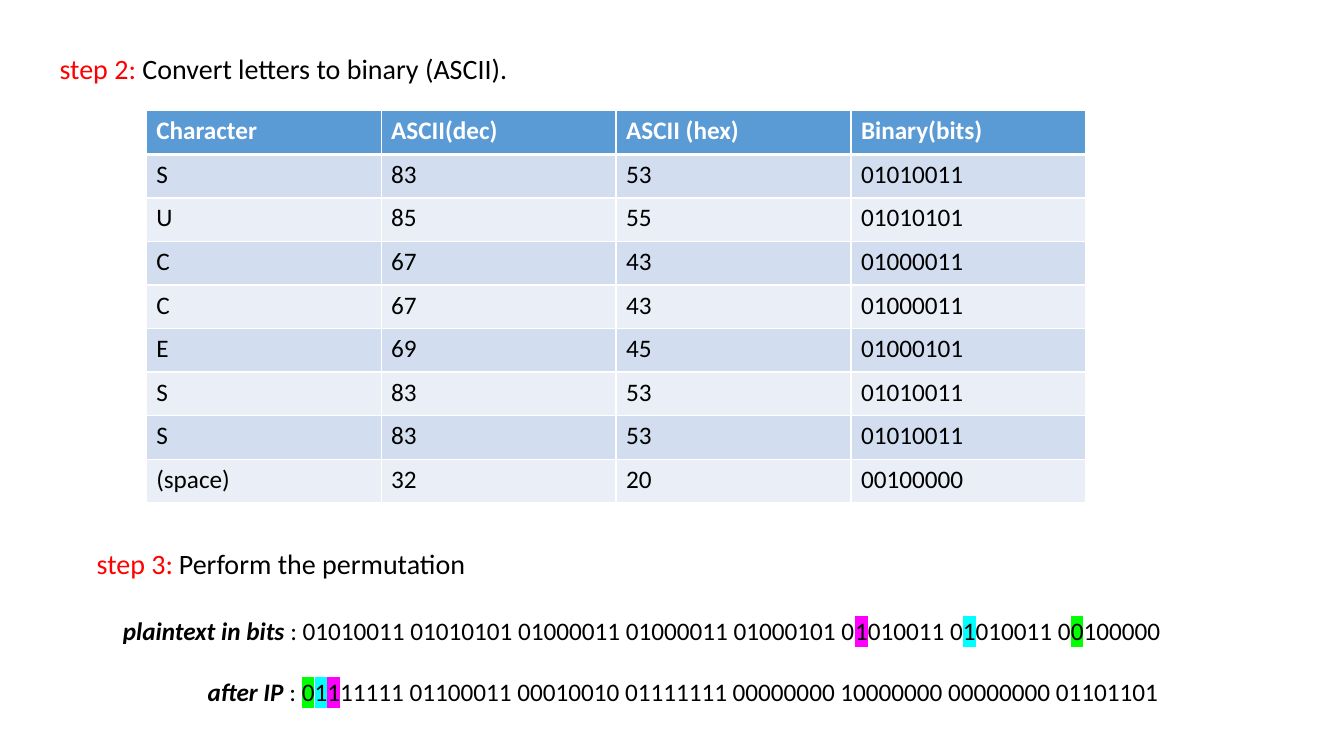
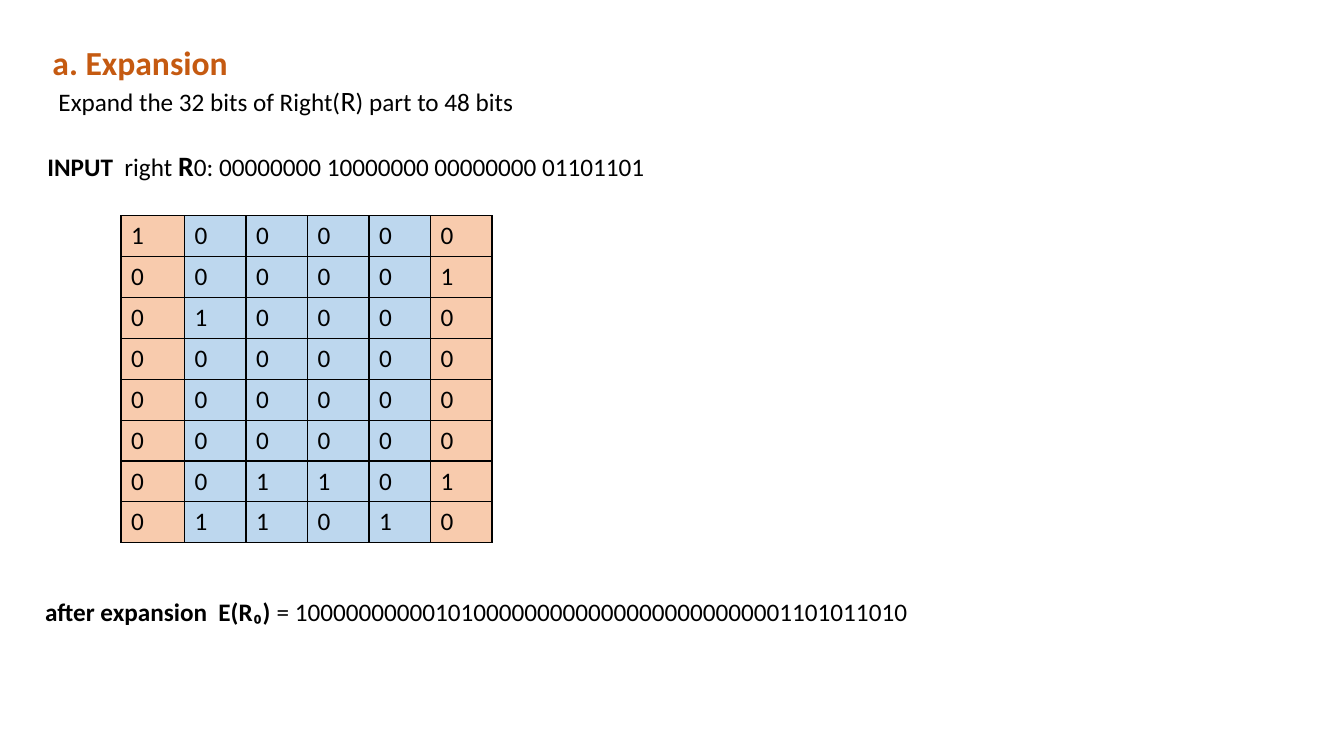
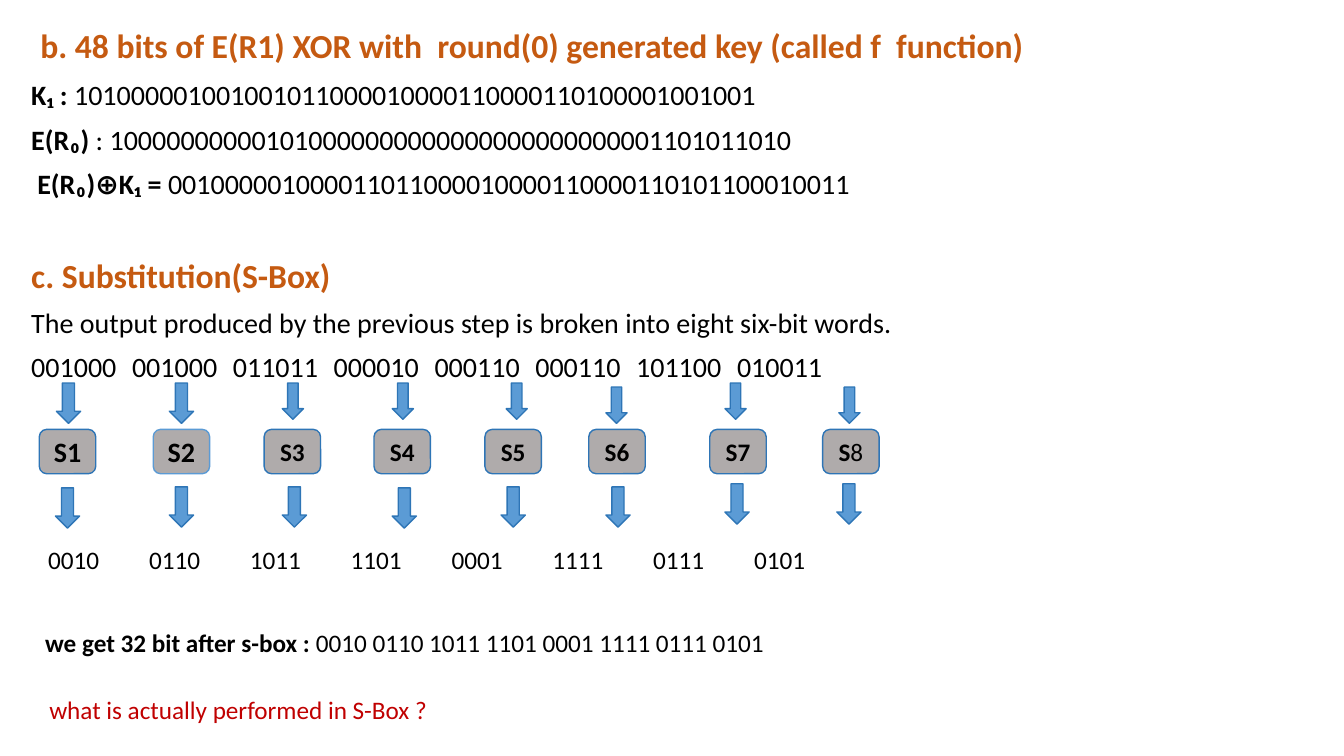
import dataclasses
import typing

import lxml.etree
import pptx
import pptx.dml.color
import pptx.enum.shapes
import pptx.enum.text
import pptx.oxml.ns
import pptx.util

Inches = pptx.util.Inches
Pt = pptx.util.Pt
qn = pptx.oxml.ns.qn

FONT = "Calibri"
COLORS = {
    "black": "000000", "white": "FFFFFF", "red": "FF0000", "dark_red": "C00000",
    "heading": "C55A11", "blue": "5B9BD5", "outline": "2E75B6", "gray": "AFABAB",
    "band_dark": "D2DEEF", "band_light": "EAEFF7", "peach": "F8CBAD", "sky": "BDD7EE",
    "magenta": "FF00FF", "cyan": "00FFFF", "green": "00FF00",
}
MESSAGE = "SUCCESS "
EXPANDED = "100000000001010000000000000000000000001101011010"
ROUND_KEY = "101000001001001011000010000110000110100001001001"
MIXED = "".join(str(int(a != b)) for a, b in zip(EXPANDED, ROUND_KEY))
WORD_TABS = [7.67 / 7 * column for column in range(1, 8)]
OUTPUT_TABS = [1.06, 2.25, 3.37, 4.5, 5.57, 6.75, 7.83]


@dataclasses.dataclass
class Span:
    text: str
    size: float = 18
    color: str = "black"
    bold: bool = False
    italic: bool = False
    highlight: str = ""


@dataclasses.dataclass
class Line:
    spans: list[Span]
    before: float = 0
    spacing: float = 1.0
    indent: float = 0
    tabs: typing.Sequence[float] = ()


@dataclasses.dataclass
class Box:
    left: float
    top: float
    width: float
    height: float


@dataclasses.dataclass
class SubstitutionBox:
    left: float
    entry: Box
    exit_left: float
    exit_top: float
    output: str
    size: float = 18
    outline: str = "outline"


SUBSTITUTIONS = [
    SubstitutionBox(0.39, Box(0.56, 3.8, 0.24, 0.4), 0.55, 4.84, "0010", 20),
    SubstitutionBox(1.52, Box(1.68, 3.8, 0.24, 0.4), 1.68, 4.83, "0110", 20, "blue"),
    SubstitutionBox(2.62, Box(2.8, 3.8, 0.21, 0.36), 2.8, 4.83, "1011"),
    SubstitutionBox(3.71, Box(3.89, 3.8, 0.21, 0.36), 3.89, 4.84, "1101"),
    SubstitutionBox(4.81, Box(5.02, 3.8, 0.21, 0.36), 4.97, 4.83, "0001"),
    SubstitutionBox(5.84, Box(6.01, 3.84, 0.21, 0.36), 6.01, 4.83, "1111"),
    SubstitutionBox(7.04, Box(7.19, 3.8, 0.21, 0.36), 7.19, 4.8, "0111"),
    SubstitutionBox(8.16, Box(8.32, 3.84, 0.21, 0.36), 8.3, 4.8, "0101"),
]


def rgb(name: str) -> pptx.dml.color.RGBColor:
    return pptx.dml.color.RGBColor.from_string(COLORS[name])


def add_span(paragraph, span: Span) -> None:
    run = paragraph.add_run()
    run.text = span.text
    run.font.name = FONT
    run.font.size = Pt(span.size)
    run.font.bold = span.bold
    run.font.italic = span.italic
    run.font.color.rgb = rgb(span.color)
    if span.highlight:
        highlight = lxml.etree.Element(qn("a:highlight"))
        lxml.etree.SubElement(highlight, qn("a:srgbClr"), val=COLORS[span.highlight])
        run._r.get_or_add_rPr().find(qn("a:solidFill")).addnext(highlight)


def write_line(paragraph, line: Line) -> None:
    paragraph.alignment = pptx.enum.text.PP_ALIGN.LEFT
    paragraph.line_spacing = line.spacing
    paragraph.space_before = Pt(line.before)
    properties = paragraph._p.get_or_add_pPr()
    properties.set("marL", str(Inches(line.indent)))
    properties.set("indent", "0")
    lxml.etree.SubElement(properties, qn("a:buNone"))
    if line.tabs:
        stops = lxml.etree.SubElement(properties, qn("a:tabLst"))
        for position in line.tabs:
            lxml.etree.SubElement(stops, qn("a:tab"), pos=str(Inches(position)), algn="l")
    for span in line.spans:
        add_span(paragraph, span)


def fill_text(shape, box: Box, lines: list[Line]) -> None:
    shape.left, shape.top = Inches(box.left), Inches(box.top)
    shape.width, shape.height = Inches(box.width), Inches(box.height)
    text_frame = shape.text_frame
    text_frame.word_wrap = True
    text_frame.auto_size = pptx.enum.text.MSO_AUTO_SIZE.NONE
    text_frame.vertical_anchor = pptx.enum.text.MSO_ANCHOR.TOP
    for index, line in enumerate(lines):
        paragraph = text_frame.add_paragraph() if index else text_frame.paragraphs[0]
        write_line(paragraph, line)


def add_text(slide, box: Box, lines: list[Line]) -> None:
    fill_text(slide.shapes.add_textbox(0, 0, 0, 0), box, lines)


def add_shape(slide, kind, box: Box, fill: str, outline: str):
    shape = slide.shapes.add_shape(
        kind, Inches(box.left), Inches(box.top), Inches(box.width), Inches(box.height)
    )
    shape.shadow.inherit = False
    shape.fill.solid()
    shape.fill.fore_color.rgb = rgb(fill)
    shape.line.color.rgb = rgb(outline)
    shape.line.width = Pt(1)
    return shape


def add_arrow(slide, box: Box) -> None:
    add_shape(slide, pptx.enum.shapes.MSO_SHAPE.DOWN_ARROW, box, "blue", "outline")


def style_cell(cell, span: Span, fill: str, border: str, top: float = 1, bottom: float = 1) -> None:
    add_span(cell.text_frame.paragraphs[0], span)
    properties = cell._tc.get_or_add_tcPr()
    for side, width in (("L", 1), ("R", 1), ("T", top), ("B", bottom)):
        edge = lxml.etree.SubElement(properties, qn(f"a:ln{side}"), w=str(Pt(width)))
        solid = lxml.etree.SubElement(edge, qn("a:solidFill"))
        lxml.etree.SubElement(solid, qn("a:srgbClr"), val=COLORS[border])
    cell.fill.solid()
    cell.fill.fore_color.rgb = rgb(fill)


def add_table(slide, left: float, top: float, widths: list[float], row_height: float, row_count: int):
    table = slide.shapes.add_table(
        row_count, len(widths), Inches(left), Inches(top),
        Inches(sum(widths)), Inches(row_height * row_count),
    ).table
    for column, width in zip(table.columns, widths):
        column.width = Inches(width)
    for row in table.rows:
        row.height = Inches(row_height)
    return table


def build_conversion(presentation) -> None:
    slide = presentation.slides.add_slide(presentation.slide_layouts[5])
    fill_text(slide.shapes.title, Box(0.49, 0.5, 12.3, 0.5), [
        Line([Span("step 2: ", 20, "red"), Span("Convert letters to binary (ASCII).", 20)], spacing=0.9),
    ])
    rows = [("Character", "ASCII(dec)", "ASCII (hex)", "Binary(bits)")]
    for letter in MESSAGE:
        code = ord(letter)
        rows.append((letter.strip() or "(space)", str(code), f"{code:x}", f"{code:08b}"))
    table = add_table(slide, 1.45, 1.1, [2.33] * 4, 3.89 / len(rows), len(rows))
    for row, values in enumerate(rows):
        header = row == 0
        fill = "blue" if header else "band_dark" if row % 2 else "band_light"
        for column, value in enumerate(values):
            span = Span(value, color="white" if header else "black", bold=header)
            style_cell(table.cell(row, column), span, fill, "white",
                       top=3 if row == 1 else 1, bottom=3 if header else 1)
    add_text(slide, Box(1.12, 6.05, 10.52, 1.05), [
        Line([
            Span("plaintext in bits", bold=True, italic=True),
            Span(" : 01010011 01010101 01000011 01000011 01000101 0"),
            Span("1", highlight="magenta"), Span("010011 0"),
            Span("1", highlight="cyan"), Span("010011 0"),
            Span("0", highlight="green"), Span("100000"),
        ]),
        Line([
            Span("after IP ", bold=True, italic=True), Span(": "),
            Span("0", highlight="green"), Span("1", highlight="cyan"), Span("1", highlight="magenta"),
            Span("11111 01100011 00010010 01111111 00000000 10000000 00000000 01101101"),
        ], before=22, indent=0.84),
    ])
    add_text(slide, Box(0.86, 5.37, 4.98, 0.48), [
        Line([Span("step 3:", 20, "red"), Span(" "), Span("Perform the permutation", 20)]),
    ])


def build_expansion(presentation) -> None:
    slide = presentation.slides.add_slide(presentation.slide_layouts[1])
    fill_text(slide.shapes.title, Box(0.42, 0.37, 11.9, 0.5), [
        Line([Span("a. Expansion", 24, "heading", True)]),
    ])
    fill_text(slide.placeholders[1], Box(0.37, 0.78, 12, 1.1), [
        Line([Span("Expand the 32 bits of Right("), Span("R", 20), Span(") part to 48 bits")], indent=0.11),
        Line([
            Span("INPUT ", bold=True), Span(" right "), Span("R", 20, bold=True),
            Span("0: 00000000 10000000 00000000 01101101"),
        ], before=22),
    ])
    table = add_table(slide, 1.2, 2.14, [0.63] + [0.61] * 5, 0.4, 8)
    table.first_row = False
    table.horz_banding = False
    for index, bit in enumerate(EXPANDED):
        row, column = divmod(index, 6)
        style_cell(table.cell(row, column), Span(bit), "peach" if column in (0, 5) else "sky", "black")
    add_text(slide, Box(0.35, 5.87, 10, 0.44), [
        Line([Span("after expansion ", bold=True), Span(" E(R₀)", bold=True), Span(f" = {EXPANDED}")]),
    ])


def build_substitution(presentation) -> None:
    slide = presentation.slides.add_slide(presentation.slide_layouts[1])
    heading = "b. 48 bits of E(R1) XOR with  round(0) generated key (called f  function)"
    fill_text(slide.shapes.title, Box(0.3, 0.24, 12.4, 0.5), [
        Line([Span(heading, 24, "heading", True)], spacing=0.9),
    ])
    words = "\t".join(MIXED[start:start + 6] for start in range(0, len(MIXED), 6))
    sentence = "The output produced by the previous step is broken into eight six-bit words."
    fill_text(slide.placeholders[1], Box(0.21, 0.76, 12.46, 3.2), [
        Line([Span("K₁ : ", 20, bold=True), Span(ROUND_KEY, 20)], 0, 0.9),
        Line([Span("E(R₀) ", 20, bold=True), Span(f": {EXPANDED}", 20)], 10, 0.9),
        Line([Span("E(R₀)⊕K₁ = ", 20, bold=True), Span(MIXED, 20)], 10, 0.9, 0.06),
        Line([Span("c. Substitution(S-Box)", 24, "heading", True)], 42, 0.9),
        Line([Span(sentence, 20)], 10, 0.9),
        Line([Span(words, 20)], 10, 0.9, tabs=WORD_TABS),
    ])
    for number, item in enumerate(SUBSTITUTIONS, 1):
        shape = add_shape(slide, pptx.enum.shapes.MSO_SHAPE.ROUNDED_RECTANGLE,
                          Box(item.left, 4.26, 0.56, 0.44), "gray", item.outline)
        shape.text_frame.vertical_anchor = pptx.enum.text.MSO_ANCHOR.MIDDLE
        paragraph = shape.text_frame.paragraphs[0]
        paragraph.alignment = pptx.enum.text.PP_ALIGN.CENTER
        add_span(paragraph, Span("S", item.size, bold=True))
        add_span(paragraph, Span(str(number), item.size, bold=number < len(SUBSTITUTIONS)))
        add_arrow(slide, item.entry)
        add_arrow(slide, Box(item.exit_left, item.exit_top, 0.24, 0.4))
    outputs = [item.output for item in SUBSTITUTIONS]
    add_text(slide, Box(0.38, 5.35, 8.82, 0.4), [Line([Span("\t".join(outputs))], tabs=OUTPUT_TABS)])
    add_text(slide, Box(0.39, 6.84, 4.98, 0.4), [
        Line([Span("what is actually performed in S-Box ?", color="dark_red")]),
    ])
    add_text(slide, Box(0.35, 6.17, 10.37, 0.41), [
        Line([Span("we get 32 bit after s-box : ", bold=True), Span(" ".join(outputs))]),
    ])


def main() -> None:
    presentation = pptx.Presentation()
    presentation.slide_width = Inches(13.33)
    presentation.slide_height = Inches(7.5)
    build_conversion(presentation)
    build_expansion(presentation)
    build_substitution(presentation)
    presentation.save("out.pptx")


if __name__ == "__main__":
    main()
